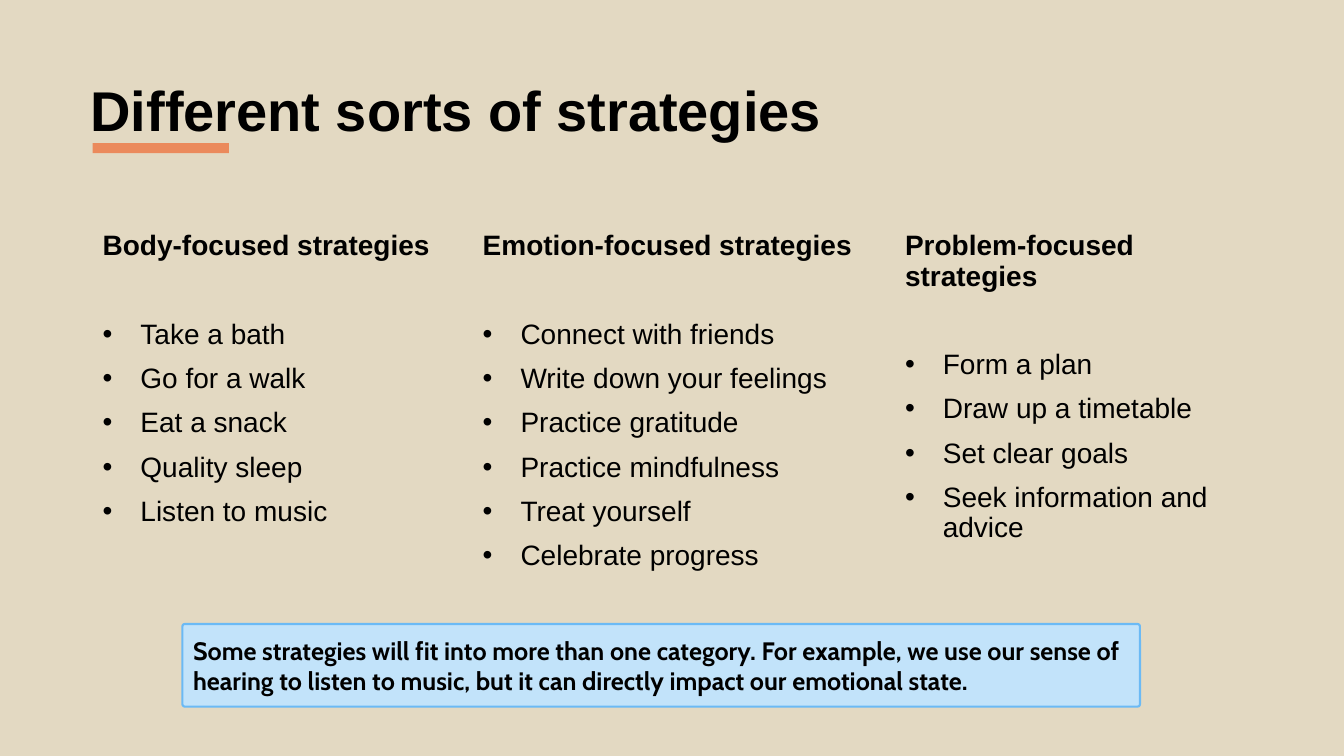
import pptx
import pptx.util
import pptx.dml.color
import pptx.enum.shapes
import pptx.enum.text
import pptx.oxml
import pptx.oxml.ns

Pt = pptx.util.Pt
RGB = pptx.dml.color.RGBColor.from_string
SHAPE = pptx.enum.shapes.MSO_SHAPE
MIDDLE = pptx.enum.text.MSO_ANCHOR.MIDDLE

TITLE = "Different sorts of strategies"
COLUMNS = [
    ("Body-focused strategies", 66.24, 254.88,
     ["Take a bath", "Go for a walk", "Eat a snack", "Quality sleep",
      "Listen to music"]),
    ("Emotion-focused strategies", 337.68, 284.4,
     ["Connect with friends", "Write down your feelings",
      "Practice gratitude", "Practice mindfulness", "Treat yourself",
      "Celebrate progress"]),
    ("Problem-focused strategies", 639.36, 275,
     ["Form a plan", "Draw up a timetable", "Set clear goals",
      "Seek information and advice"]),
]
NOTE = ("Some strategies will fit into more than one category. For example, "
        "we use our sense of hearing to listen to music, but it can directly "
        "impact our emotional state.")

THEME = {
    "back": "E3D9C2", "ink": "000000", "bar": "EB8A5C",
    "note": "C2E3FA", "edge": "6BBAF5",
    "font": "Arial", "note font": "Cabin",
    "title": 40, "body": 20, "small": 18,
}
TOP, HEIGHT = 162, 252
INDENT, GAP, LIST_GAP, LEADING = 27, 10, 41.6, 0.9


def add_run(para, text, size, bold, font=THEME["font"]):
    run = para.add_run()
    run.text = text
    run.font.name = font
    run.font.size = Pt(size)
    run.font.bold = bold
    run.font.color.rgb = RGB(THEME["ink"])


def add_text(slide, *box):
    frame = slide.shapes.add_textbox(*map(Pt, box)).text_frame
    frame.word_wrap = True
    frame.paragraphs[0].line_spacing = LEADING
    return frame


def add_block(slide, kind, fill, *box):
    shape = slide.shapes.add_shape(kind, *map(Pt, box))
    shape.shadow.inherit = False
    shape.fill.solid()
    shape.fill.fore_color.rgb = RGB(fill)
    shape.line.fill.background()
    return shape


def add_bullet(para):
    props = para._p.get_or_add_pPr()
    props.set("marL", str(Pt(INDENT)))
    props.set("indent", str(-Pt(INDENT)))
    space = pptx.oxml.ns.nsdecls("a")
    for tag in ('buFont %s typeface="Arial"', 'buChar %s char="•"'):
        props.append(pptx.oxml.parse_xml(f"<a:{tag % space}/>"))


def add_column(slide, head, left, width, items):
    frame = add_text(slide, left, TOP, width, HEIGHT)
    add_run(frame.paragraphs[0], head, THEME["body"], True)
    for rank, item in enumerate(items):
        para = frame.add_paragraph()
        para.line_spacing = LEADING
        para.space_before = Pt(GAP if rank else LIST_GAP)
        add_bullet(para)
        add_run(para, item, THEME["body"], False)


def add_note(slide):
    note = add_block(slide, SHAPE.ROUNDED_RECTANGLE, THEME["note"],
                     130.32, 445.68, 684, 59.04)
    note.adjustments[0] = 0.03
    note.line.color.rgb = RGB(THEME["edge"])
    note.line.width = Pt(1.5)
    frame = note.text_frame
    frame.word_wrap = True
    frame.vertical_anchor = MIDDLE
    para = frame.paragraphs[0]
    para.alignment = pptx.enum.text.PP_ALIGN.LEFT
    add_run(para, NOTE, THEME["small"], True, THEME["note font"])


def main():
    deck = pptx.Presentation()
    deck.slide_width, deck.slide_height = Pt(960), Pt(540)
    slide = deck.slides.add_slide(deck.slide_layouts[6])
    slide.background.fill.solid()
    slide.background.fill.fore_color.rgb = RGB(THEME["back"])

    title = add_text(slide, 57.6, 28.8, 828, 104.4)
    title.vertical_anchor = MIDDLE
    add_run(title.paragraphs[0], TITLE, THEME["title"], True)
    add_block(slide, SHAPE.RECTANGLE, THEME["bar"], 66.24, 102.24, 97.2, 7.2)
    for column in COLUMNS:
        add_column(slide, *column)
    add_note(slide)
    deck.save("out.pptx")


if __name__ == "__main__":
    main()
